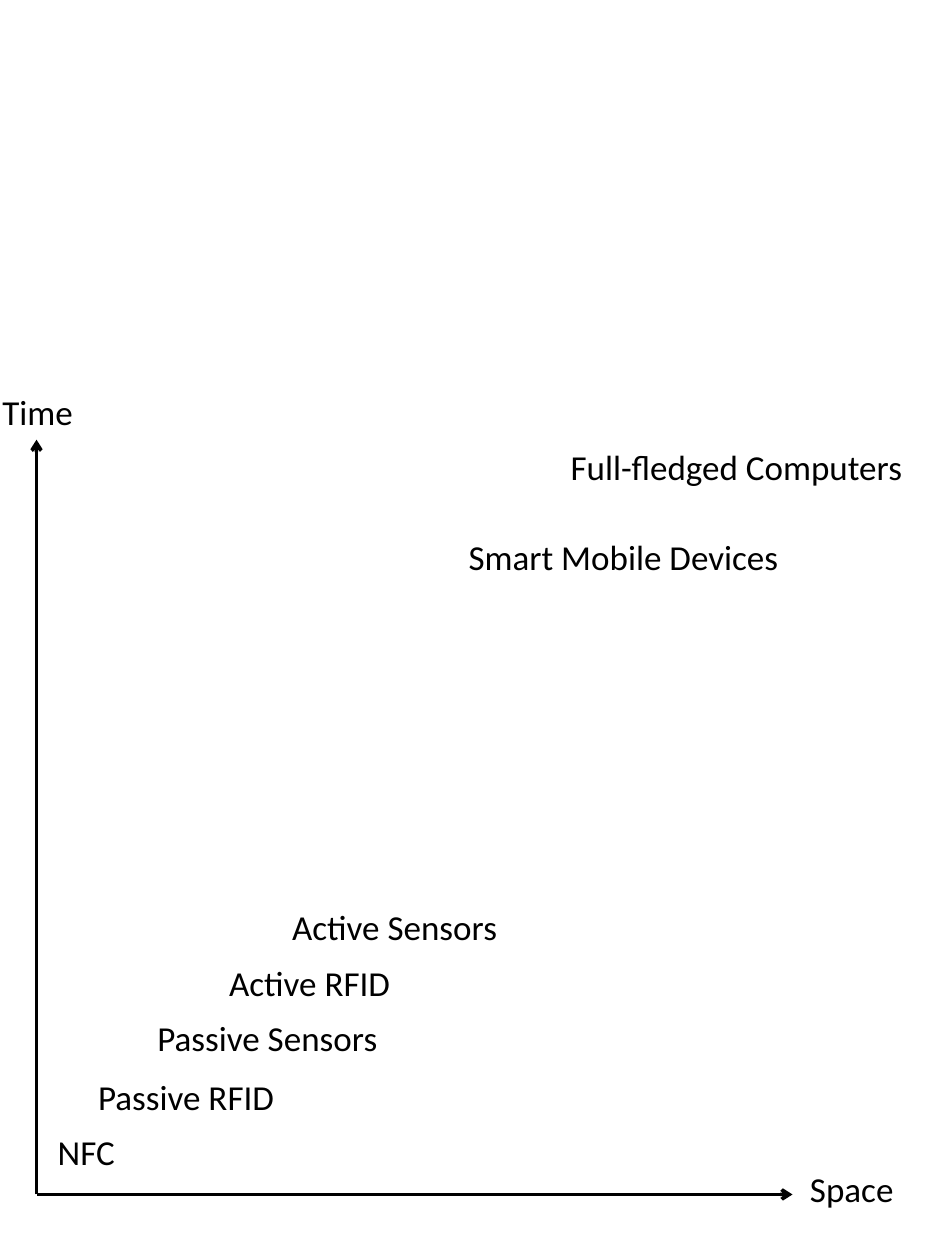
import pptx
import pptx.dml.color
import pptx.enum.shapes
import pptx.enum.text
import pptx.oxml.ns
import pptx.util
from lxml import etree
from pptx.util import Inches

BLACK = pptx.dml.color.RGBColor(0x00, 0x00, 0x00)
ORIGIN = (0.29, 9.48)
DEVICE_WIDTH, WIDE_WIDTH = 1.97, 2.99

# Text, left, top, width
DEVICES = [
    ("NFC", 0.36, 8.92, DEVICE_WIDTH),
    ("Passive RFID", 0.68, 8.49, DEVICE_WIDTH),
    ("Passive Sensors", 1.15, 8.02, DEVICE_WIDTH),
    ("Active RFID", 1.72, 7.58, DEVICE_WIDTH),
    ("Active Sensors", 2.22, 7.14, DEVICE_WIDTH),
    ("Smart Mobile Devices", 3.62, 4.2, WIDE_WIDTH),
    ("Full-fledged Computers", 4.43, 3.49, WIDE_WIDTH),
]
AXIS_TITLES = [
    ("Space", 6.33, 9.22, WIDE_WIDTH),
    ("Time", -0.08, 3.05, WIDE_WIDTH),
]


class Diagram:
    font_name = "Calibri"
    font_size = pptx.util.Pt(20)
    line_width = pptx.util.Pt(2)
    label_height = 0.44

    def __init__(self, page):
        self.page = page

    def arrow(self, start, end):
        line = self.page.shapes.add_connector(
            pptx.enum.shapes.MSO_CONNECTOR.STRAIGHT,
            *(Inches(value) for value in (*start, *end)))
        line.line.color.rgb = BLACK
        line.line.width = self.line_width
        qn = pptx.oxml.ns.qn
        etree.SubElement(line.line._get_or_add_ln(), qn("a:tailEnd"), type="arrow")
        etree.SubElement(line._element.spPr, qn("a:effectLst"))

    def label(self, text, left, top, width):
        box = self.page.shapes.add_textbox(
            Inches(left), Inches(top), Inches(width), Inches(self.label_height))
        frame = box.text_frame
        frame.text = text
        frame.word_wrap = True
        frame.auto_size = pptx.enum.text.MSO_AUTO_SIZE.SHAPE_TO_FIT_TEXT
        font = frame.paragraphs[0].runs[0].font
        font.name = self.font_name
        font.size = self.font_size
        font.color.rgb = BLACK


def main():
    deck = pptx.Presentation()
    deck.slide_width, deck.slide_height = Inches(7.5), Inches(10)
    diagram = Diagram(deck.slides.add_slide(deck.slide_layouts[6]))

    # Time and space axes
    diagram.arrow(ORIGIN, (ORIGIN[0], 3.49))
    diagram.arrow(ORIGIN, (6.29, ORIGIN[1]))

    # Device classes and axis titles
    for label in DEVICES + AXIS_TITLES:
        diagram.label(*label)

    deck.save("out.pptx")


if __name__ == "__main__":
    main()
